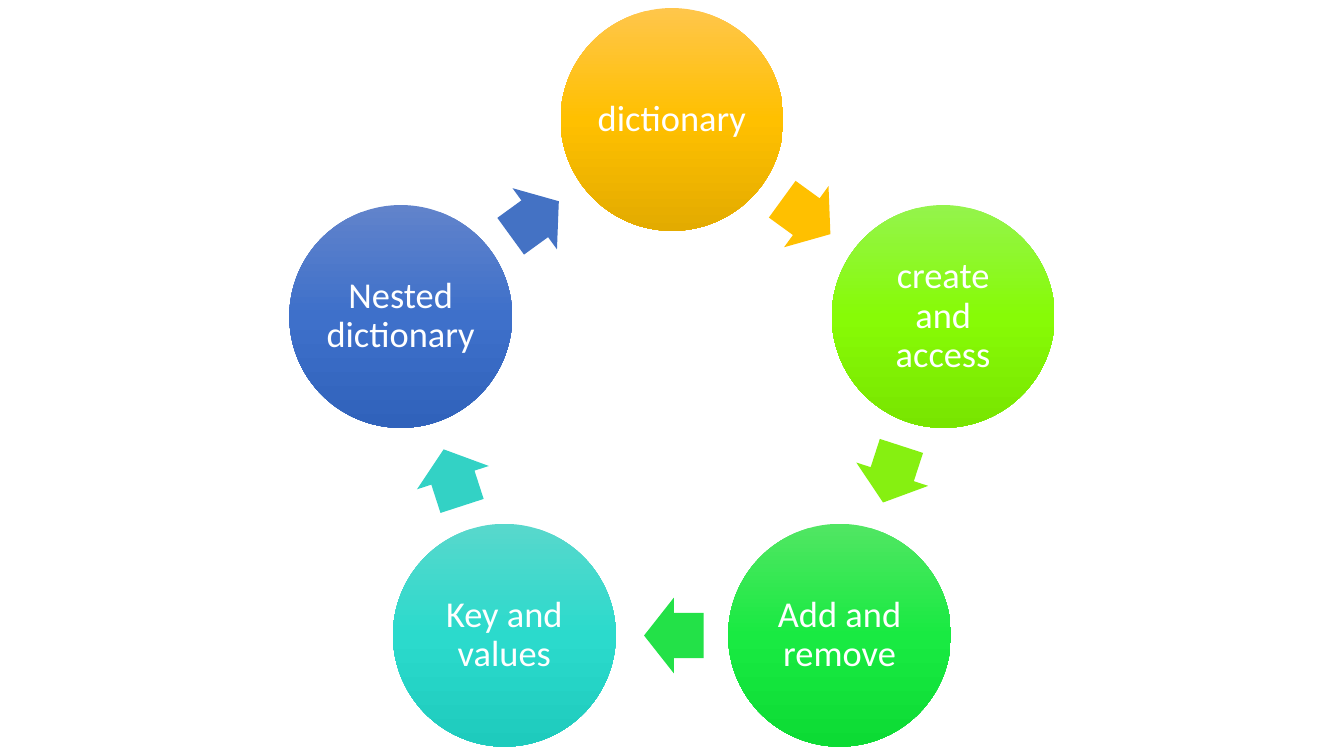
from copy import deepcopy
from math import cos, radians, sin

from pptx import Presentation
from pptx import util as u
from pptx.dml import color
from pptx.enum import shapes, text

STEPS = [
    ("dictionary", ("FFC64B", "FFC000", "E3AB00"), "FFC000"),
    ("create and access", ("94F44C", "87FB06", "78E500"), "86F011"),
    ("Add and remove", ("51E663", "19EA42", "0CDB34"), "23E148"),
    ("Key and values", ("58D8CC", "2BDACC", "1ECBBD"), "33D2C5"),
    ("Nested dictionary", ("6183CB", "3E70CA", "3062BB"), "4472C4"),
]
FRAME = {
    "word_wrap": True,
    "vertical_anchor": text.MSO_ANCHOR.MIDDLE,
    "margin_left": u.Inches(0.04),
    "margin_right": u.Inches(0.04),
    "margin_top": u.Inches(0.04),
    "margin_bottom": u.Inches(0.04),
}
PARA = {"alignment": text.PP_ALIGN.CENTER, "line_spacing": 0.9}
FONT = {"name": "Calibri", "size": u.Pt(26)}


def rgb(code):
    return color.RGBColor.from_string(code)


def style(item, values):
    for name, value in values.items():
        setattr(item, name, value)


def place(slide, kind, mid, size):
    box = [mid[0] - size[0] / 2, mid[1] - size[1] / 2, *size]
    shape = slide.shapes.add_shape(kind, *map(u.Inches, box))
    shape.shadow.inherit = False
    shape.line.fill.background()
    return shape


def shade(shape, codes):
    shape.fill.gradient()
    shape.fill.gradient_angle = 270
    stops = shape.element.xpath(".//a:gsLst")[0]
    stops.append(deepcopy(stops[0]))
    for stop, spot, code in zip(shape.fill.gradient_stops, (0, 0.5, 1), codes):
        stop.position = spot
        stop.color.rgb = rgb(code)


def add_node(slide, mid, size, label, codes):
    node = place(slide, shapes.MSO_SHAPE.OVAL, mid, (size, size))
    shade(node, codes)
    frame = node.text_frame
    style(frame, FRAME)
    para = frame.paragraphs[0]
    style(para, PARA)
    run = para.add_run()
    run.text = label
    style(run.font, FONT)
    run.font.color.rgb = rgb("FFFFFF")


def add_arrow(slide, mid, size, turn, code):
    arrow = place(slide, shapes.MSO_SHAPE.RIGHT_ARROW, mid, size)
    arrow.adjustments[0] = 0.6
    arrow.adjustments[1] = 0.5
    arrow.rotation = turn
    arrow.fill.solid()
    arrow.fill.fore_color.rgb = rgb(code)


def add_cycle(slide, left, top, width):
    size = 2.21
    step = 360 / len(STEPS)
    ring = (width - size) / 2 / sin(radians(step))
    mid_x, mid_y = left + width / 2, top + size / 2 + ring

    def point(reach, angle):
        turn = radians(angle)
        return mid_x + reach * sin(turn), mid_y - reach * cos(turn)

    for i, (label, codes, code) in enumerate(STEPS):
        angle = i * step
        turn = angle + step / 2
        add_node(slide, point(ring, angle), size, label, codes)
        add_arrow(slide, point(ring * 0.81, turn - 0.45), (0.59, 0.75), turn, code)


def main():
    deck = Presentation()
    deck.slide_width = u.Inches(13.33)
    deck.slide_height = u.Inches(7.5)
    slide = deck.slides.add_slide(deck.slide_layouts[6])
    add_cycle(slide, 2.87, 0.08, 7.59)
    deck.save("out.pptx")


if __name__ == "__main__":
    main()
